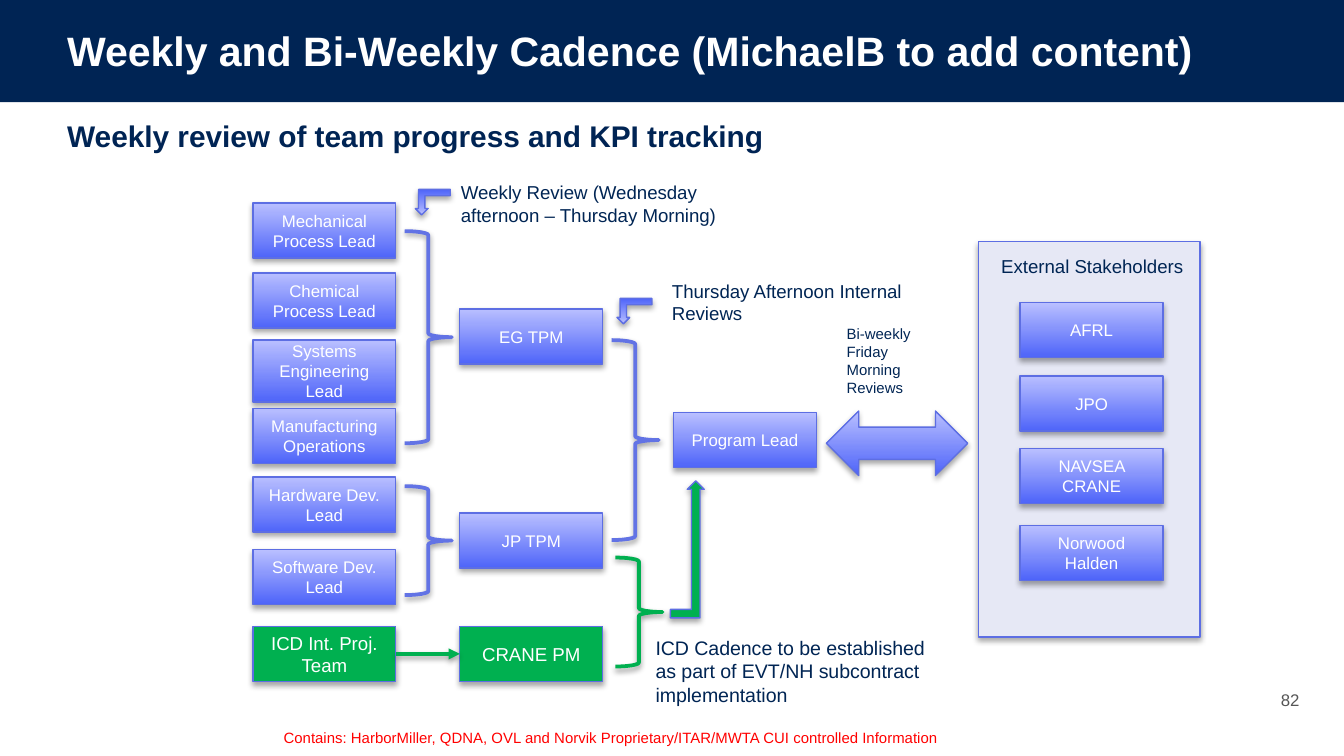
from lxml.etree import SubElement
from pptx import Presentation
from pptx.dml.color import RGBColor
from pptx.enum.shapes import MSO_CONNECTOR, MSO_SHAPE as Preset
from pptx.enum.text import MSO_ANCHOR as Anchor, PP_ALIGN as Align
from pptx.oxml.ns import qn
from pptx.util import Cm, Pt

NAVY, INK, WHITE, GREEN = "002454", "002554", "FFFFFF", "00B050"
BLUE, PALE_BLUE, OUTLINE, BRACE = "4E64F9", "B9BFFF", "5D6EE3", "6273E5"
PANEL, GREY, RED = "E6E8F5", "565656", "FF0000"
BOX_WIDTH, BOX_HEIGHT = 2.7, 1.04
LEAD_X, MANAGER_X, PROGRAM_X, STAKEHOLDER_X = 4.78, 8.69, 12.73, 19.28
ICD_Y = 11.84

LEADS = [
    ("Mechanical Process Lead", 3.84, BOX_HEIGHT),
    ("Chemical Process Lead", 5.16, BOX_HEIGHT),
    ("Systems Engineering Lead", 6.43, 1.17),
    ("Manufacturing Operations", 7.72, BOX_HEIGHT),
    ("Hardware Dev. Lead", 9.02, BOX_HEIGHT),
    ("Software Dev. Lead", 10.39, BOX_HEIGHT),
]
MANAGERS = [("EG TPM", 5.84), ("JP TPM", 9.7)]
STAKEHOLDERS = [("AFRL", 5.72), ("JPO", 7.11), ("NAVSEA CRANE", 8.48), ("Norwood Halden", 9.93)]
BRACES = [
    (7.65, 4.37, 4.01, BRACE),
    (7.65, 9.19, 2.06, BRACE),
    (11.56, 6.43, 3.78, BRACE),
    (11.63, 10.54, 2.06, GREEN),
]
NOTES = [
    ("Weekly Review (Wednesday afternoon – Thursday Morning)", 8.46, 3.3, 5.97, 1.12, 10),
    ("Thursday Afternoon Internal Reviews", 12.45, 5.16, 5.97, 1.12, 10),
    ("Bi-weekly Friday Morning Reviews", 15.75, 6.02, 2.24, 1.63, 8),
    ("ICD Cadence to be established as part of EVT/NH subcontract implementation",
     12.14, 11.89, 5.97, 1.6, 10.5),
]


def color(value):
    return RGBColor.from_string(value)


def add_shadow(effects, opacity, distance):
    shadow = SubElement(effects, qn("a:outerShdw"), blurRad=str(Pt(3.1)),
                        dist=str(Pt(distance)), dir="5400000", rotWithShape="0")
    black = SubElement(shadow, qn("a:srgbClr"), val="000000")
    SubElement(black, qn("a:alpha"), val=str(opacity * 1000))


def write(shape, text, size, ink, align=Align.LEFT, anchor=Anchor.TOP, bold=False):
    frame = shape.text_frame
    frame.word_wrap = True
    frame.vertical_anchor = anchor
    paragraph = frame.paragraphs[0]
    paragraph.text = text
    paragraph.alignment = align
    font = paragraph.font
    font.name, font.size, font.bold = "Arial", Pt(size), bold
    font.color.rgb = color(ink)
    return frame


def add_text(slide, text, left, top, width, height, size, ink, **style):
    box = slide.shapes.add_textbox(Cm(left), Cm(top), Cm(width), Cm(height))
    return write(box, text, size, ink, **style)


def add_heading(slide, text, top, height, size, ink):
    frame = add_text(slide, text, 0, top, 25.4, height, size, ink,
                     anchor=Anchor.MIDDLE, bold=True)
    frame.margin_left = frame.margin_right = Cm(1.27)
    return frame


def add_block(slide, preset, left, top, width, height, fill=None):
    shape = slide.shapes.add_shape(preset, Cm(left), Cm(top), Cm(width), Cm(height))
    if fill:
        shape.fill.solid()
        shape.fill.fore_color.rgb = color(fill)
    else:
        shape.fill.gradient()
        shape.fill.gradient_angle = 90
        for stop, value in zip(shape.fill.gradient_stops, (BLUE, PALE_BLUE)):
            stop.color.rgb = color(value)
    shape.line.color.rgb = color(OUTLINE)
    shape.line.width = Pt(0.75)
    shape.shadow.inherit = False
    add_shadow(shape._element.spPr.find(qn("a:effectLst")), 35, 1.8)
    return shape


def add_box(slide, text, left, top, height=BOX_HEIGHT, fill=None, size=9):
    shape = add_block(slide, Preset.FLOWCHART_PROCESS, left, top, BOX_WIDTH, height, fill)
    write(shape, text, size, WHITE, Align.CENTER, Anchor.MIDDLE)
    return shape


def add_brace(slide, left, top, height, stroke):
    brace = slide.shapes.add_shape(Preset.RIGHT_BRACE, Cm(left), Cm(top), Cm(0.89), Cm(height))
    brace.fill.background()
    brace.line.color.rgb = color(stroke)
    brace.line.width = Pt(2)
    brace.shadow.inherit = False
    add_shadow(brace._element.spPr.find(qn("a:effectLst")), 38, 1.6)


def add_arrow(slide, source, target, stroke):
    arrow = slide.shapes.add_connector(MSO_CONNECTOR.STRAIGHT, 0, 0, 0, 0)
    arrow.begin_connect(source, 3)
    arrow.end_connect(target, 1)
    arrow.line.color.rgb = color(stroke)
    arrow.line.width = Pt(2)
    SubElement(arrow.line._get_or_add_ln(), qn("a:tailEnd"), type="triangle")
    add_shadow(SubElement(arrow._element.spPr, qn("a:effectLst")), 38, 1.6)


def add_header_and_footer(slide):
    band = slide.shapes.add_shape(Preset.RECTANGLE, 0, 0, Cm(25.4), Cm(1.93))
    band.fill.solid()
    band.fill.fore_color.rgb = color(NAVY)
    band.line.fill.background()
    band.shadow.inherit = False
    add_heading(slide, "Weekly and Bi-Weekly Cadence (MichaelB to add content)", 0, 1.9, 22, WHITE)
    subtitle = add_heading(slide, "Weekly review of team progress and KPI tracking",
                           1.9, 1.27, 16, NAVY)
    subtitle.margin_top = subtitle.margin_bottom = 0
    subtitle.paragraphs[0].line_spacing = 1.1
    add_text(slide, "82", 23.9, 12.85, 0.97, 0.76, 9, GREY,
             align=Align.CENTER, anchor=Anchor.MIDDLE)
    add_text(slide, "Contains: HarborMiller, QDNA, OVL and Norvik Proprietary/ITAR/MWTA CUI "
             "controlled Information", 5.11, 13.64, 17.68, 0.61, 8, RED)


def add_stakeholders(slide):
    add_block(slide, Preset.FLOWCHART_PROCESS, 18.49, 4.57, 4.19, 7.47, PANEL)
    add_text(slide, "External Stakeholders", 18.62, 4.7, 4.04, 0.69, 10, INK, align=Align.CENTER)
    for name, top in STAKEHOLDERS:
        add_box(slide, name, STAKEHOLDER_X, top)


def add_team(slide):
    for name, top, height in LEADS:
        add_box(slide, name, LEAD_X, top, height)
    for name, top in MANAGERS:
        add_box(slide, name, MANAGER_X, top)
    add_box(slide, "Program Lead", PROGRAM_X, 7.8)
    icd_team = add_box(slide, "ICD Int. Proj. Team", LEAD_X, ICD_Y, fill=GREEN, size=10)
    crane = add_box(slide, "CRANE PM", MANAGER_X, ICD_Y, fill=GREEN, size=10)
    add_arrow(slide, icd_team, crane, GREEN)


def add_flow(slide):
    for brace in BRACES:
        add_brace(slide, *brace)
    for left, top in [(7.85, 3.58), (11.66, 5.64)]:
        add_block(slide, Preset.BENT_UP_ARROW, left, top, 0.66, 0.48).rotation = 180
    add_block(slide, Preset.BENT_UP_ARROW, 12.67, 9.09, 0.64, 2.59, GREEN)
    add_block(slide, Preset.LEFT_RIGHT_ARROW, 15.62, 7.77, 2.67, 1.22)
    for text, left, top, width, height, size in NOTES:
        add_text(slide, text, left, top, width, height, size, INK)


def main():
    presentation = Presentation()
    presentation.slide_width, presentation.slide_height = Cm(25.4), Cm(14.29)
    slide = presentation.slides.add_slide(presentation.slide_layouts[6])
    add_header_and_footer(slide)
    add_stakeholders(slide)
    add_team(slide)
    add_flow(slide)
    presentation.save("out.pptx")


if __name__ == "__main__":
    main()
